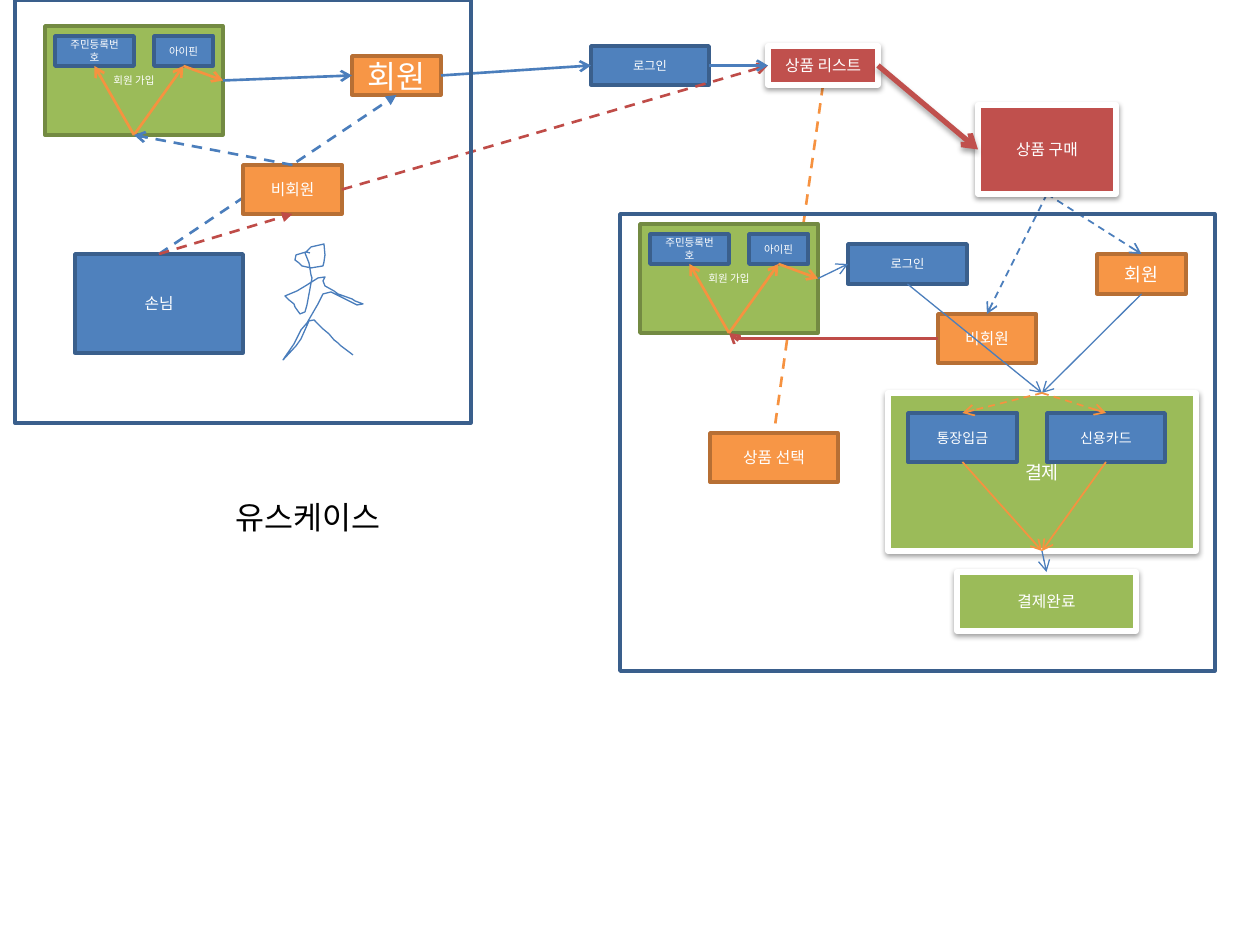
import pptx
import pptx.util
import pptx.dml.color
import pptx.enum.dml
import pptx.enum.shapes
import pptx.enum.text
import pptx.oxml
import pptx.oxml.ns
from dataclasses import dataclass
from lxml import etree

EMU = 914400 / 126
RGB = pptx.dml.color.RGBColor.from_string
Pt = pptx.util.Pt
qn = pptx.oxml.ns.qn
ALIGN = pptx.enum.text.PP_ALIGN


@dataclass
class Theme:
    """Font, colours and type sizes of the slide."""
    font = "Noto Sans CJK KR"
    white, title = "FFFFFF", "000000"
    blue, red, orange = "4B7EBC", "BF4C48", "F69240"
    strong_red = "C0504D"
    heading, large, body, bank, login, small = 18, 10.5, 9, 8, 7, 6
    # fill, line colour, line width, shadow
    boxes = {
        "blue": ("4F81BD", "3A5F8C", 2, False),
        "orange": ("F79646", "B76F34", 2, False),
        "green": ("9BBB59", "738A42", 2, False),
        "red card": ("C0504D", "FFFFFF", 3, True),
        "green card": ("9BBB59", "FFFFFF", 3, True),
        "frame": (None, "3A5F8C", 2, False),
    }


T = Theme()


def add_run(tf, text, size, color, align):
    """Add one formatted run to the first paragraph of a text frame."""
    p = tf.paragraphs[0]
    p.alignment = align
    r = p.add_run()
    r.text = text
    r.font.size = Pt(size)
    r.font.color.rgb = RGB(color)
    r.font.name = T.font
    etree.SubElement(r.font._element, qn("a:ea")).set("typeface", T.font)


def set_shadow(shape, alpha=0, distance=0):
    """Replace the theme shadow by none, or by a soft one falling down."""
    effects = etree.SubElement(shape._element.spPr, qn("a:effectLst"))
    if alpha:
        outer = etree.SubElement(effects, qn("a:outerShdw"), blurRad="40000",
                                 dist=str(distance), dir="5400000", rotWithShape="0")
        color = etree.SubElement(outer, qn("a:srgbClr"), val="000000")
        etree.SubElement(color, qn("a:alpha"), val=str(alpha * 1000))


prs = pptx.Presentation()
prs.slide_width, prs.slide_height = pptx.util.Inches(10), pptx.util.Inches(7.5)
s = prs.slides.add_slide(prs.slide_layouts[5])

title = s.shapes.title
title.left, title.top, title.width, title.height = [int(v * EMU) for v in (223, 492, 317, 50)]
tf = title.text_frame
tf.word_wrap = True
tf.auto_size = pptx.enum.text.MSO_AUTO_SIZE.SHAPE_TO_FIT_TEXT
tf.vertical_anchor = pptx.enum.text.MSO_ANCHOR.TOP
add_run(tf, "유스케이스", T.heading, T.title, ALIGN.LEFT)

# Boxes: parent, name, x, y, width, height, style, text, size
main = s.shapes
boxes = [
    (main, "guest", 75, 254, 168, 99, "blue", "손님", T.body),
    (main, "buy", 978, 105, 138, 89, "red card", "상품 구매", T.body),
    (main, "login", 591, 46, 118, 39, "blue", "로그인", T.login),
    (main, "list", 768, 46, 110, 39, "red card", "상품 리스트", T.body),
    (main, "member", 352, 56, 89, 39, "orange", "회원", T.heading),
    (main, "nonmember", 243, 165, 99, 49, "orange", "비회원", T.body),
]
signup_group, order_group = main.add_group_shape(), main.add_group_shape()
order = order_group.shapes
boxes += [
    (order, "select", 710, 433, 128, 49, "orange", "상품 선택", T.body),
    (order, "payment", 888, 393, 308, 158, "green card", "결제", T.large),
    (order, "bank", 908, 413, 109, 49, "blue", "통장입금", T.bank),
    (order, "card", 1047, 413, 118, 49, "blue", "신용카드", T.bank),
    (order, "done", 957, 572, 179, 59, "green card", "결제완료", T.body),
    (order, "member 2", 1097, 254, 89, 40, "orange", "회원", T.large),
    (order, "nonmember 2", 938, 314, 98, 49, "orange", "비회원", T.body),
    (order, "login 2", 848, 244, 119, 40, "blue", "로그인", T.login),
]

# Arrows: parent, from, side, to, side, colour, width, dashed, head
arrows = [
    (main, "list", "bottom", "select", "top", T.orange, 1.5, True, None),
    (main, "nonmember", "right", "list", "left", T.red, 1.5, True, "arrow"),
    (main, "guest", "top", "member", "bottom", T.blue, 1.5, True, "triangle"),
    (main, "guest", "top", "nonmember", "bottom", T.red, 1.5, True, "triangle"),
    (main, "member", "right", "login", "left", T.blue, 1.5, False, "arrow"),
    (main, "login", "right", "list", "left", T.blue, 1.5, False, "arrow"),
    (main, "signup", "right", "member", "left", T.blue, 1.5, False, "arrow"),
    (main, "nonmember", "top", "signup", "bottom", T.blue, 1.5, True, "arrow"),
    (main, "list", "right", "buy", "left", T.strong_red, 3, False, "arrow"),
    (order, "nonmember 2", "left", "signup 2", "bottom", T.red, 1.5, False, "arrow"),
    (order, "buy", "bottom", "member 2", "top", T.blue, 1, True, "arrow"),
    (order, "buy", "bottom", "nonmember 2", "top", T.blue, 1, True, "arrow"),
    (order, "payment", "bottom", "done", "top", T.blue, 0.75, False, "arrow"),
    (order, "member 2", "bottom", "payment", "top", T.blue, 0.75, False, "arrow"),
    (order, "signup 2", "right", "login 2", "left", T.blue, 0.75, False, "arrow"),
    (order, "login 2", "bottom", "payment", "top", T.blue, 0.75, False, "arrow"),
]
for method in ("bank", "card"):
    arrows += [
        (order, "payment", "top", method, "top", T.orange, 1, True, "arrow"),
        (order, method, "bottom", "payment", "bottom", T.orange, 1, False, "arrow"),
    ]

# The sign-up block appears in both flows
for parent, suffix, x, y in ((signup_group.shapes, "", 45, 26), (order, " 2", 640, 224)):
    signup, resident, ipin = "signup" + suffix, "resident" + suffix, "ipin" + suffix
    boxes += [
        (parent, signup, x, y, 178, 109, "green", "회원 가입", T.small),
        (parent, resident, x + 10, y + 10, 79, 30, "blue", "주민등록번호", T.small),
        (parent, ipin, x + 109, y + 10, 59, 30, "blue", "아이핀", T.small),
    ]
    arrows += [
        (parent, ipin, "bottom", signup, "right", T.orange, 1.5, False, "arrow"),
        (parent, signup, "bottom", resident, "bottom", T.orange, 1.5, False, "arrow"),
        (parent, signup, "bottom", ipin, "bottom", T.orange, 1.5, False, "arrow"),
    ]
boxes += [
    (order, "order frame", 620, 214, 595, 457, "frame", "", 0),
    (main, "visitor frame", 15, 0, 456, 423, "frame", "", 0),
]

shapes = {}
for parent, name, x, y, w, h, style, text, size in boxes:
    fill, line, width, shadow = T.boxes[style]
    sp = parent.add_shape(pptx.enum.shapes.MSO_SHAPE.RECTANGLE,
                          *[int(v * EMU) for v in (x, y, w, h)])
    if fill:
        sp.fill.solid()
        sp.fill.fore_color.rgb = RGB(fill)
    else:
        sp.fill.background()
    sp.line.color.rgb = RGB(line)
    sp.line.width = Pt(width)
    if shadow:
        set_shadow(sp, 38, 20000)
    else:
        sp.shadow.inherit = False
    if text:
        add_run(sp.text_frame, text, size, T.white, ALIGN.CENTER)
    shapes[name] = sp

# Connection site number and its place as shares of width and height
sides = {"top": (0, 0.5, 0), "left": (1, 0, 0.5), "bottom": (2, 0.5, 1), "right": (3, 1, 0.5)}
behind = {("list", "select"): order_group, ("guest", "member"): shapes["nonmember"]}
KIND = pptx.enum.shapes.MSO_CONNECTOR
for parent, start, side1, end, side2, color, width, dashed, head in arrows:
    ends = []
    for name, side in ((start, side1), (end, side2)):
        sp, (site, fx, fy) = shapes[name], sides[side]
        ends += [int(sp.left + sp.width * fx), int(sp.top + sp.height * fy)]
    bent = start == "nonmember 2"
    cxn = parent.add_connector(KIND.ELBOW if bent else KIND.STRAIGHT, *ends)
    cxn.begin_connect(shapes[start], sides[side1][0])
    cxn.end_connect(shapes[end], sides[side2][0])
    if bent:
        cxn._element.spPr.find(qn("a:prstGeom")).set("prst", "bentConnector2")
    cxn.line.color.rgb = RGB(color)
    cxn.line.width = Pt(width)
    if dashed:
        cxn.line.dash_style = pptx.enum.dml.MSO_LINE.DASH
    if head:
        etree.SubElement(cxn.line._get_or_add_ln(), qn("a:tailEnd"), type=head)
    if width == 3:
        set_shadow(cxn, 35, 23000)
    else:
        set_shadow(cxn)
    if (start, end) in behind:
        behind[start, end]._element.addprevious(cxn._element)

for name in ("order frame", "visitor frame"):
    frame = shapes[name]._element
    frame.getparent().append(frame)

figure_points = [
    (310, 253), (306, 252), (296, 255), (295, 260), (299, 263), (302, 266), (311, 268),
    (323, 266), (324, 262), (325, 255), (324, 244), (311, 247), (305, 253), (309, 263),
    (311, 275), (312, 278), (307, 305), (305, 312), (300, 314), (295, 307), (294, 304),
    (289, 300), (285, 296), (297, 291), (307, 285), (318, 278), (325, 277), (323, 281),
    (325, 286), (334, 291), (338, 294), (352, 299), (355, 301), (363, 304), (357, 305),
    (339, 296), (331, 292), (323, 294), (318, 304), (307, 323), (301, 330), (297, 338),
    (294, 344), (285, 357), (283, 360), (296, 346), (301, 339), (309, 321), (314, 320),
    (323, 329), (329, 334), (334, 340), (338, 343), (341, 346), (353, 355)]
builder = main.build_freeform(*figure_points[0], scale=EMU)
builder.add_line_segments(figure_points[1:], close=False)
figure = builder.convert_to_shape()
figure.fill.background()
figure.line.color.rgb = RGB(T.blue)
figure.line.width = Pt(0.75)
figure.shadow.inherit = False

prs.save("out.pptx")
